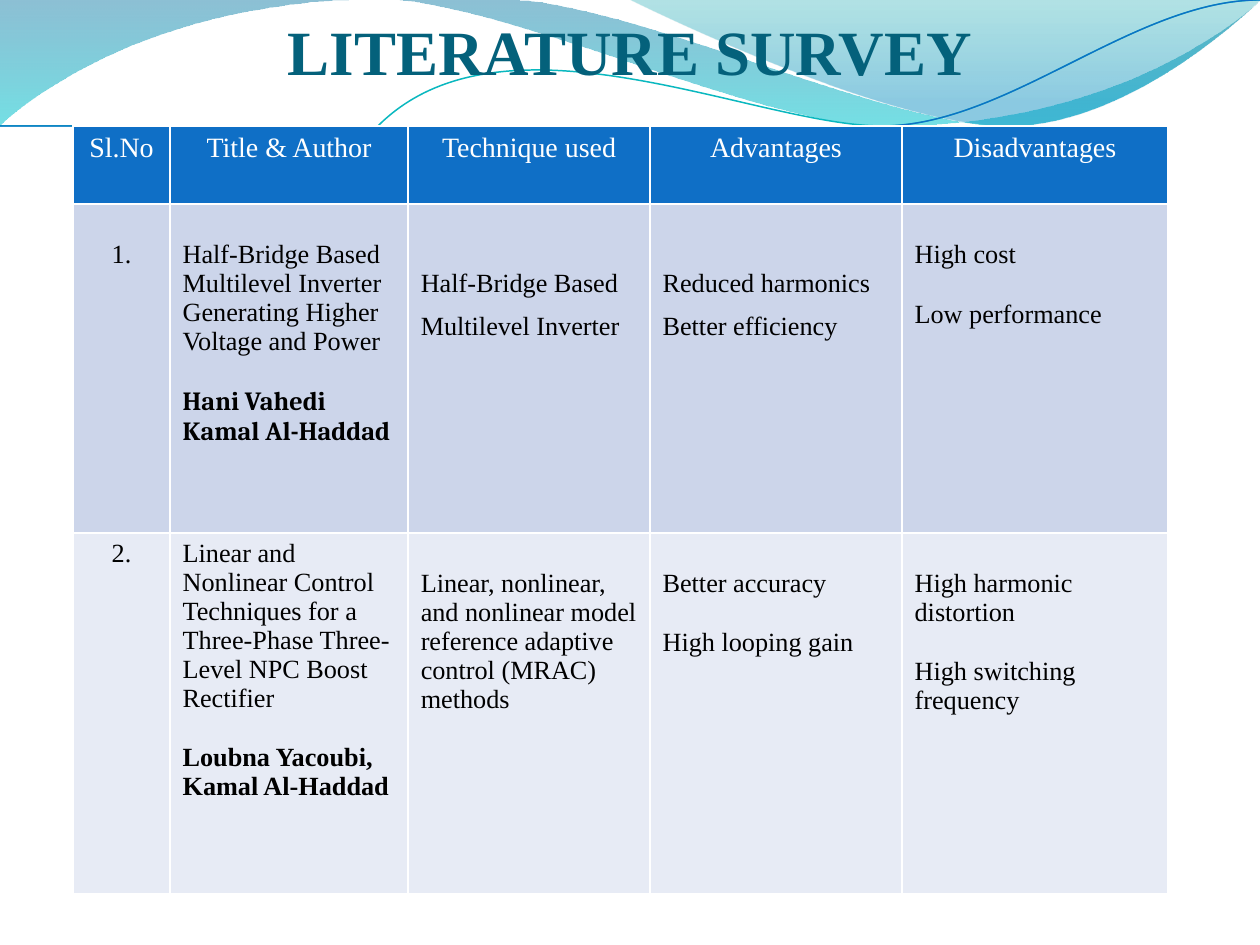
from typing import NamedTuple

from lxml import etree
from pptx import Presentation
from pptx.dml.color import RGBColor
from pptx.enum.text import MSO_ANCHOR, PP_ALIGN
from pptx.oxml.ns import qn
from pptx.util import Inches, Pt

CENTER, LEFT = PP_ALIGN.CENTER, PP_ALIGN.LEFT
TOP, BOTTOM = MSO_ANCHOR.TOP, MSO_ANCHOR.BOTTOM

WHITE = RGBColor(0xFF, 0xFF, 0xFF)
BLACK = RGBColor(0, 0, 0)
TITLE_TEAL = RGBColor(0x04, 0x61, 0x7B)
BLUE = RGBColor(0x0F, 0x6F, 0xC6)
TEAL = RGBColor(0x0A, 0xB8, 0xBF)
ROW_FILLS = [BLUE, RGBColor(0xCC, 0xD5, 0xEA), RGBColor(0xE7, 0xEB, 0xF5)]
WAVE_TOP = RGBColor(0x00, 0x74, 0xA1)
WAVE_BOTTOM = RGBColor(0x00, 0xC6, 0xCF)
CREST_TOP = RGBColor(0x00, 0xA1, 0xA9)
CREST_BOTTOM = RGBColor(0x00, 0x8B, 0xBF)

SERIF = "Times New Roman"
BODY_SIZE = 15
LINE_GAP = 17.25
CELL_TOP = 0.05
LOWERED_TOP = 0.29
SPACED_TOP = 0.4

COLUMN_WIDTHS = [0.77, 1.89, 1.92, 2, 2.11]
ROW_HEIGHTS = [0.62, 2.61, 2.86]
HEADINGS = ["Sl.No", "Title & Author", "Technique used", "Advantages", "Disadvantages"]

WAVE = [(0, 0), (4.4, -0.01), (4.76, 0.17, 6.64, 0.63, 7.58, 0.63),
        (8.53, 0.63, 9.58, 0.26, 10, 0.09), (10.01, 0.36),
        (9.83, 0.44, 8.7, 0.76, 7.46, 0.75), (6.22, 0.75, 3.82, 0.28, 2.57, 0.34),
        (1.29, 0.36, 0.46, 0.83, -0.01, 1.13), (0, 0)]
CREST = [(4.79, -0.01), (5.09, 0.11, 6.82, 0.62, 7.69, 0.65),
         (8.56, 0.69, 9.61, 0.32, 10, 0.21), (10, 0), (4.79, -0.01)]
TEAL_STRAND = [(0, 1.11), (0.48, 0.93, 1.58, 0.57, 2.77, 0.52),
               (3.95, 0.47, 5.93, 0.89, 7.13, 0.8), (8.33, 0.71, 9.38, 0.15, 9.98, -0.02)]
BLUE_STRAND = [(0, 1.04), (0.47, 0.96, 1.64, 0.61, 2.83, 0.56),
               (4.03, 0.51, 5.97, 0.84, 7.17, 0.75), (8.36, 0.67, 9.41, 0.21, 10, 0.06)]


class Line(NamedTuple):
    text: str
    gap: float = 0
    bold: bool = False
    font: str = SERIF


class Entry(NamedTuple):
    lines: list
    top: float = CELL_TOP
    spacing: float = 1
    align: PP_ALIGN = LEFT


STUDIES = [
    [
        Entry([Line("1.")], LOWERED_TOP, align=CENTER),
        Entry([Line("Half-Bridge Based Multilevel Inverter"),
               Line("Generating Higher Voltage and Power"),
               Line("Hani Vahedi", LINE_GAP, True, "Cambria"),
               Line("Kamal Al-Haddad", 0, True, "Cambria")], LOWERED_TOP),
        Entry([Line("Half-Bridge Based Multilevel Inverter")], SPACED_TOP, 1.5),
        Entry([Line("Reduced harmonics"), Line("Better efficiency")], SPACED_TOP, 1.5),
        Entry([Line("High cost"), Line("Low performance", LINE_GAP)], LOWERED_TOP),
    ],
    [
        Entry([Line("2.")], align=CENTER),
        Entry([Line("Linear and Nonlinear Control Techniques for a"),
               Line("Three-Phase Three-Level NPC Boost Rectifier"),
               Line("Loubna Yacoubi,", LINE_GAP, True),
               Line("Kamal Al-Haddad", 0, True)]),
        Entry([Line("Linear, nonlinear, and nonlinear model reference adaptive "
                    "control (MRAC) methods")], LOWERED_TOP),
        Entry([Line("Better accuracy"), Line("High looping gain", LINE_GAP)], LOWERED_TOP),
        Entry([Line("High harmonic distortion"),
               Line("High switching frequency", LINE_GAP)], LOWERED_TOP),
    ],
]


def write_text(frame, lines, size=BODY_SIZE, color=BLACK, align=LEFT, spacing=1):
    frame.word_wrap = True
    for index, line in enumerate(lines):
        paragraph = frame.add_paragraph() if index else frame.paragraphs[0]
        paragraph.alignment = align
        paragraph.line_spacing = spacing
        paragraph.space_before = Pt(line.gap)
        run = paragraph.add_run()
        run.text = line.text
        run.font.name = line.font
        run.font.size = Pt(size)
        run.font.bold = line.bold
        run.font.color.rgb = color


def add_curve(slide, segments):
    points = [segment[i:i + 2] for segment in segments for i in range(0, len(segment), 2)]
    builder = slide.shapes.build_freeform(*points[0], scale=Inches(1))
    builder.add_line_segments(points[1:], close=False)
    curve = builder.convert_to_shape()
    curve.shadow.inherit = False
    steps = iter(list(curve._element.iter(qn("a:lnTo"))))
    for segment in segments[1:]:
        step = next(steps)
        if len(segment) == 6:
            step.addprevious(bezier := etree.Element(qn("a:cubicBezTo")))
            for handle in (step, next(steps), next(steps)):
                bezier.append(handle[0])
                handle.getparent().remove(handle)
    return curve


def add_wave(slide, segments, stops):
    wave = add_curve(slide, segments)
    wave.line.fill.background()
    wave.fill.gradient()
    wave.fill.gradient_angle = 270
    for stop, (position, color, opacity) in zip(wave.fill.gradient_stops, stops):
        stop.position = position
        stop.color.rgb = color
    for tint, (_, _, opacity) in zip(wave._element.spPr.iter(qn("a:srgbClr")), stops):
        etree.SubElement(tint, qn("a:alpha"), val=str(opacity * 1000))


def add_strand(slide, segments, color, width):
    strand = add_curve(slide, segments)
    strand.fill.background()
    strand.line.color.rgb = color
    strand.line.width = Pt(width)


def add_title(slide, text):
    title = slide.shapes.add_textbox(Inches(0.5), Inches(0.25), Inches(9), Inches(0.45))
    frame = title.text_frame
    frame.margin_left = frame.margin_right = frame.margin_bottom = 0
    frame.margin_top = Inches(0.05)
    frame.vertical_anchor = BOTTOM
    write_text(frame, [Line(text, bold=True)], size=36, color=TITLE_TEAL, align=CENTER)


def outline_cell(cell):
    properties = cell._tc.get_or_add_tcPr()
    for side in ("a:lnL", "a:lnR", "a:lnT", "a:lnB"):
        border = etree.SubElement(properties, qn(side), w=str(Pt(1)))
        fill = etree.SubElement(border, qn("a:solidFill"))
        etree.SubElement(fill, qn("a:srgbClr"), val=str(WHITE))


def add_survey(slide):
    headings = [Entry([Line(heading)], align=CENTER) for heading in HEADINGS]
    rows = [headings] + STUDIES
    survey = slide.shapes.add_table(
        len(rows), len(HEADINGS), Inches(0.58), Inches(1),
        Inches(sum(COLUMN_WIDTHS)), Inches(sum(ROW_HEIGHTS))).table
    for column, width in zip(survey.columns, COLUMN_WIDTHS):
        column.width = Inches(width)
    for r, entries in enumerate(rows):
        survey.rows[r].height = Inches(ROW_HEIGHTS[r])
        size, color = (BODY_SIZE, BLACK) if r else (16, WHITE)
        for c, entry in enumerate(entries):
            cell = survey.cell(r, c)
            outline_cell(cell)
            cell.fill.solid()
            cell.fill.fore_color.rgb = ROW_FILLS[r]
            cell.margin_top = Inches(entry.top)
            cell.vertical_anchor = TOP
            write_text(cell.text_frame, entry.lines, size=size, color=color,
                       align=entry.align, spacing=entry.spacing)


def main():
    """Build the literature survey slide."""
    deck = Presentation()
    deck.slide_width, deck.slide_height = Inches(10), Inches(7.5)
    slide = deck.slides.add_slide(deck.slide_layouts[6])
    add_wave(slide, WAVE, [(0, WAVE_TOP, 45), (1, WAVE_BOTTOM, 55)])
    add_wave(slide, CREST, [(0, CREST_TOP, 30), (0.8, CREST_BOTTOM, 45)])
    add_strand(slide, TEAL_STRAND, TEAL, 0.85)
    add_strand(slide, BLUE_STRAND, BLUE, 0.75)
    add_title(slide, "LITERATURE SURVEY")
    add_survey(slide)
    deck.save("out.pptx")


main()
